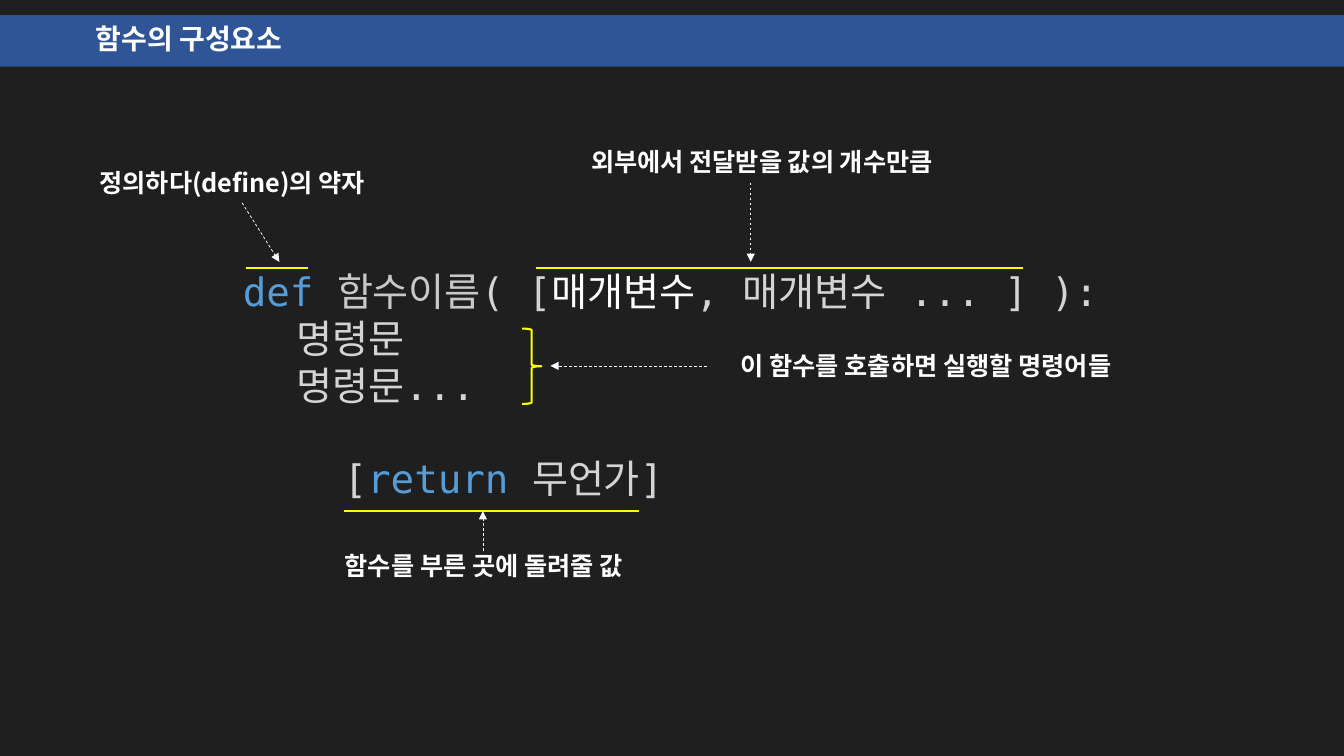
import pptx
import pptx.dml.color
import pptx.enum.dml
import pptx.enum.shapes
import pptx.enum.text
import pptx.oxml
import pptx.oxml.ns
import pptx.util

Cm = pptx.util.Cm
Pt = pptx.util.Pt
SHAPES = pptx.enum.shapes.MSO_SHAPE
ALIGN = pptx.enum.text.PP_ALIGN
ANCHOR = pptx.enum.text.MSO_ANCHOR

COLOURS = {
    "page": "1F1F1F",
    "bar": "2F5597",
    "white": "FFFFFF",
    "keyword": "569CD6",
    "name": "C8C8C8",
    "code": "D4D4D4",
    "mark": "FFFF00",
}
LABEL_FONT = "Noto Sans CJK KR"
CODE_FONT = "DejaVu Sans Mono"


def colour(name):
    return pptx.dml.color.RGBColor.from_string(COLOURS[name])


def add_span(para, text, font=LABEL_FONT, size=18, tint="white", bold=False):
    span = para.add_run()
    span.text = text
    span.font.name = font
    span.font.size = Pt(size)
    span.font.bold = bold
    span.font.color.rgb = colour(tint)
    # Hangul takes the East Asian typeface
    east_asian = pptx.oxml.parse_xml(
        f'<a:ea {pptx.oxml.ns.nsdecls("a")} typeface="{font}"/>')
    span.font._element.find(pptx.oxml.ns.qn("a:latin")).addnext(east_asian)


def add_title_bar(page, width, text):
    bar = page.shapes.add_shape(SHAPES.RECTANGLE, 0, Cm(0.38), width, Cm(1.3))
    bar.shadow.inherit = False
    bar.fill.solid()
    bar.fill.fore_color.rgb = colour("bar")
    bar.line.fill.background()
    frame = bar.text_frame
    frame.margin_left = Cm(2.41)
    frame.vertical_anchor = ANCHOR.MIDDLE
    para = frame.paragraphs[0]
    para.alignment = ALIGN.LEFT
    para.line_spacing = 0.9
    add_span(para, text, size=20, bold=True)


def add_label(page, left, top, width, text):
    box = page.shapes.add_textbox(Cm(left), Cm(top), Cm(width), Cm(1.02))
    box.text_frame.word_wrap = False
    para = box.text_frame.paragraphs[0]
    para.alignment = ALIGN.CENTER
    add_span(para, text, bold=True)
    return box


def add_code(page, left, top, width, height, lines):
    """Each line is (indent in cm, space before in points, spans)."""
    box = page.shapes.add_textbox(Cm(left), Cm(top), Cm(width), Cm(height))
    frame = box.text_frame
    frame.word_wrap = True
    for index, (indent, gap, spans) in enumerate(lines):
        para = frame.add_paragraph() if index else frame.paragraphs[0]
        para.space_before = Pt(gap)
        properties = para._p.get_or_add_pPr()
        properties.set("marL", str(Cm(indent)))
        properties.set("indent", "0")
        for text, tint in spans:
            add_span(para, text, font=CODE_FONT, size=28, tint=tint)


def add_line(page, start, end, tint, weight):
    line = page.shapes.add_connector(
        pptx.enum.shapes.MSO_CONNECTOR.STRAIGHT,
        *(Cm(value) for value in start + end))
    line.line.color.rgb = colour(tint)
    line.line.width = Pt(weight)
    line._element.spPr.append(
        pptx.oxml.parse_xml(f'<a:effectLst {pptx.oxml.ns.nsdecls("a")}/>'))
    return line


def add_arrow(page, start, end):
    arrow = add_line(page, start, end, "white", 0.5)
    arrow.line.dash_style = pptx.enum.dml.MSO_LINE.DASH
    arrow.line._get_or_add_ln().append(pptx.oxml.parse_xml(
        f'<a:tailEnd {pptx.oxml.ns.nsdecls("a")} type="triangle"/>'))
    return arrow


def add_brace(page, left, top, width, height):
    brace = page.shapes.add_shape(
        SHAPES.RIGHT_BRACE, Cm(left), Cm(top), Cm(width), Cm(height))
    brace.shadow.inherit = False
    brace.fill.background()
    brace.line.color.rgb = colour("mark")
    brace.line.width = Pt(1.5)


def main():
    deck = pptx.Presentation()
    deck.slide_width, deck.slide_height = Cm(33.87), Cm(19.05)
    page = deck.slides.add_slide(deck.slide_layouts[6])
    page.background.fill.solid()
    page.background.fill.fore_color.rgb = colour("page")

    add_title_bar(page, deck.slide_width, "함수의 구성요소")

    # Function syntax
    add_code(page, 5.87, 6.6, 25.83, 8.64, [
        (0, 0, [("def ", "keyword"), ("함수이름", "name"), ("( [", "code"),
                ("매개변수", "white"), (", 매개변수 ... ] ):", "code")]),
        (1.36, 0, [("명령문", "code")]),
        (1.36, 0, [("명령문...", "code")]),
        (2.54, 33, [("[", "code"), ("return", "keyword"),
                    (" 무언가]", "code")]),
    ])

    # Explanations
    add_label(page, 2.06, 4.09, 7.59, "정의하다(define)의 약자")
    add_label(page, 14.12, 3.56, 10.16, "외부에서 전달받을 값의 개수만큼")
    add_label(page, 7.95, 13.74, 8.48, "함수를 부른 곳에 돌려줄 값")
    body_label = add_label(page, 17.81, 8.71, 11.05,
                           "이 함수를 호출하면 실행할 명령어들")

    # Arrows from explanations to code
    add_arrow(page, (6.1, 5.11), (7.04, 6.6))
    add_arrow(page, (18.92, 4.6), (18.92, 6.6))
    add_arrow(page, (12.17, 13.89), (12.17, 12.88))
    body_arrow = add_arrow(page, (17.81, 9.22), (13.87, 9.22))
    body_arrow.begin_connect(body_label, 1)

    # Yellow marks on the code
    add_brace(page, 13.16, 8.28, 0.48, 1.9)
    for left, right, height in ((6.2, 7.77, 6.76), (13.51, 25.78, 6.76),
                                (8.66, 16.1, 12.88)):
        add_line(page, (left, height), (right, height), "mark", 1.5)

    deck.save("out.pptx")


if __name__ == "__main__":
    main()
